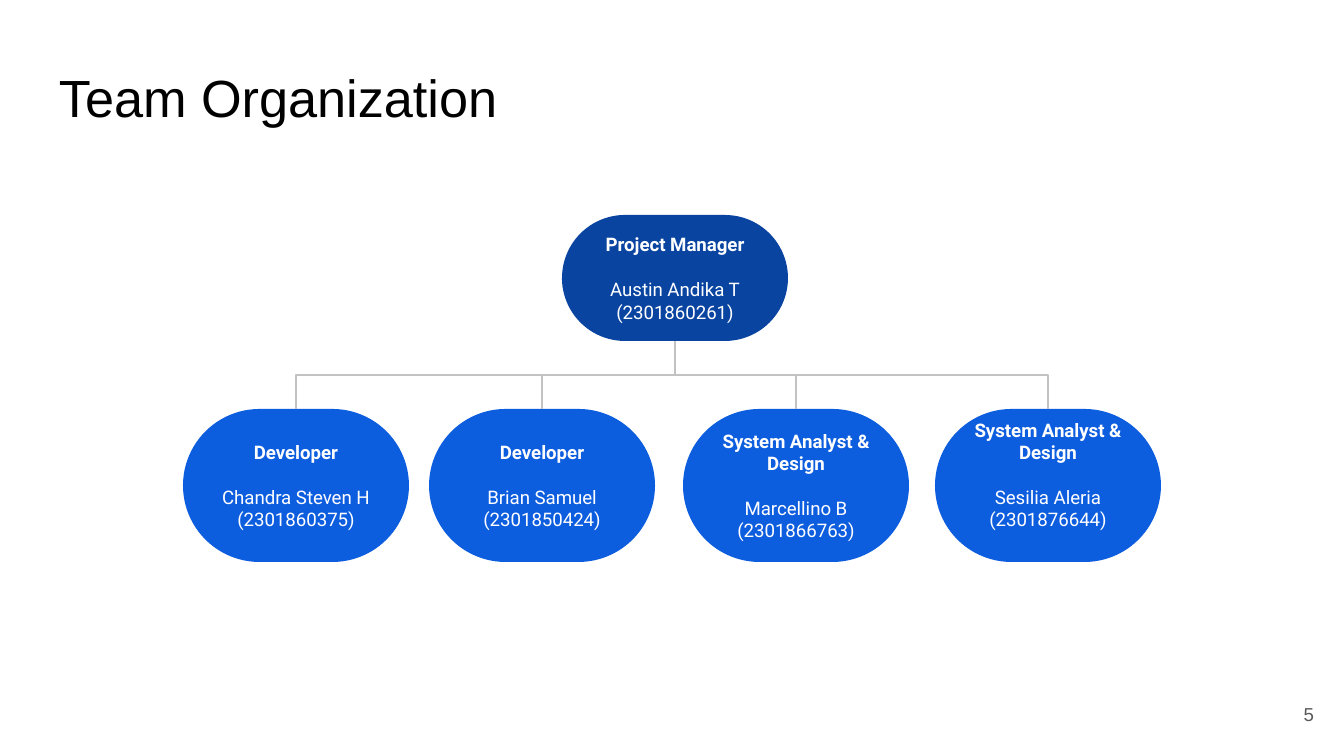
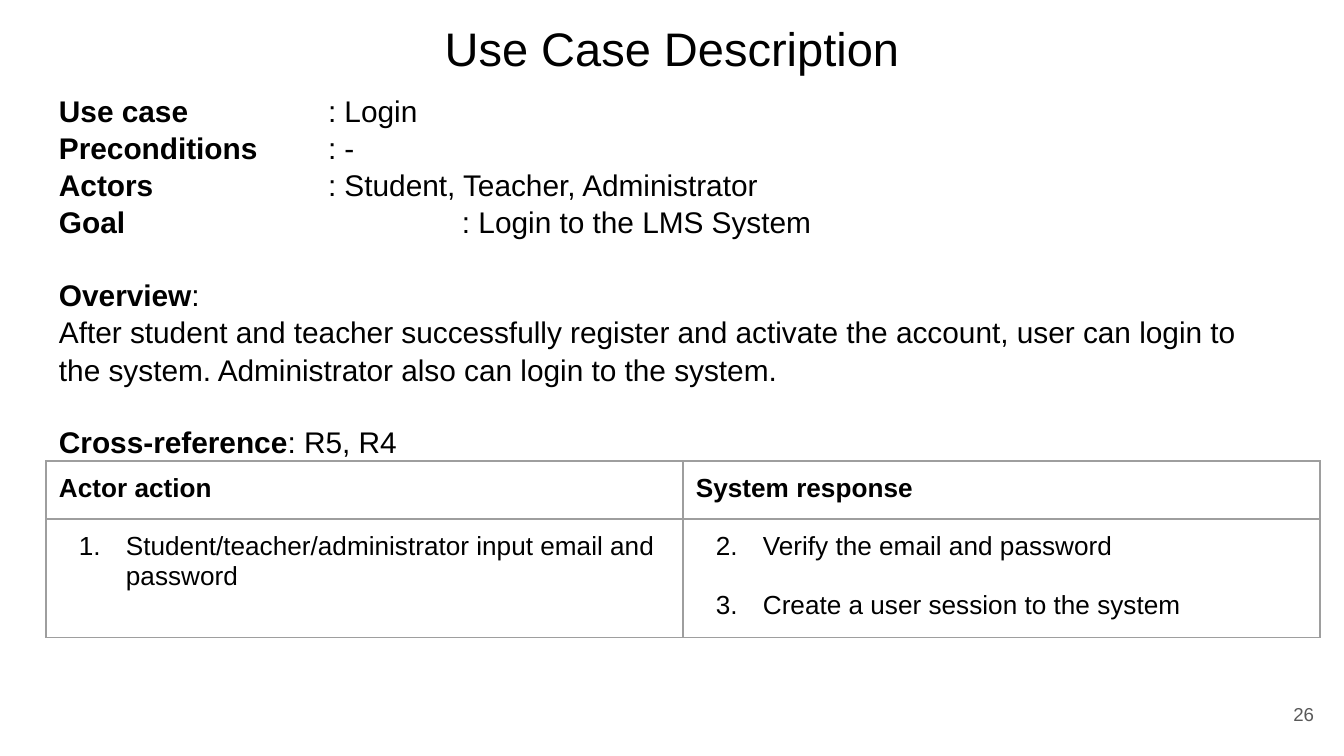
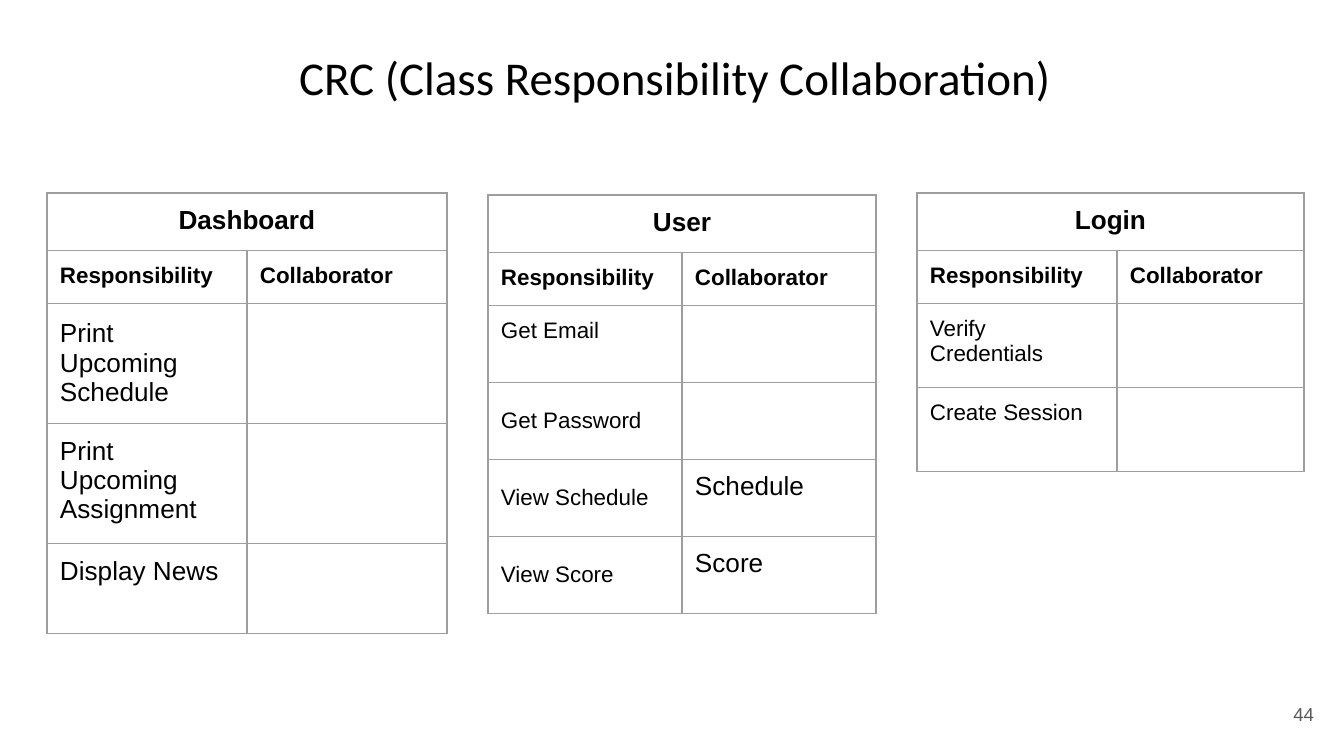
from dataclasses import dataclass

from lxml import etree
from pptx import Presentation
from pptx.dml.color import RGBColor as RGB
from pptx.enum.shapes import MSO_CONNECTOR as CONN, MSO_SHAPE as SHAPE
from pptx.enum.text import MSO_ANCHOR as ANCHOR, PP_ALIGN as ALIGN
from pptx.oxml.ns import qn
from pptx.util import Pt

SLIDE_W, SLIDE_H = 1344, 756
EMU_PER_PX = 9144000 / SLIDE_W
INSET = 13
TOP, MID = ANCHOR.TOP, ANCHOR.MIDDLE


@dataclass(frozen=True)
class Theme:
    ink: str = "000000"
    muted: str = "595959"
    white: str = "FFFFFF"
    manager: str = "0944A1"
    member: str = "0D5DDF"
    link: str = "C2C2C2"
    grid: str = "9E9E9E"
    font: str = "Arial"
    chart_font: str = "Roboto"
    crc_font: str = "Calibri"
    title: float = 28
    small_title: float = 25.2
    body: float = 16
    cell: float = 14
    small_cell: float = 12
    label: float = 10
    rule: float = 0.75


T = Theme()


def px(n):
    return round(n * EMU_PER_PX)


# --- Text ---

def add_run(p, text, size, bold=False, font=T.font, color=T.ink):
    r = p.add_run()
    r.text = text
    r.font.size, r.font.bold, r.font.name = Pt(size), bold, font
    r.font.color.rgb = RGB.from_string(color)


def next_par(tf, align=ALIGN.LEFT, before=0):
    """Return the first paragraph while it is empty, else a new one."""
    p = tf.paragraphs[0]
    if p.runs:
        p = tf.add_paragraph()
    p.alignment = align
    if before:
        p.space_before = Pt(before)
    return p


def set_frame(tf, anchor=TOP, top=INSET, bottom=INSET):
    tf.word_wrap = True
    tf.vertical_anchor = anchor
    tf.margin_left = tf.margin_right = px(INSET)
    tf.margin_top, tf.margin_bottom = px(top), px(bottom)


def add_box(s, x, y, w, h, **frame):
    tf = s.shapes.add_textbox(px(x), px(y), px(w), px(h)).text_frame
    set_frame(tf, **frame)
    return tf


def add_title(s, text, box, size=T.small_title, font=T.font,
              align=ALIGN.CENTER, top=19):
    tf = add_box(s, *box, top=top)
    add_run(next_par(tf, align), text, size, font=font)


def add_slide(prs, number):
    s = prs.slides.add_slide(prs.slide_layouts[6])
    tf = add_box(s, 1246, 685, 81, 58, anchor=MID)
    add_run(next_par(tf, ALIGN.RIGHT), str(number), T.label, color=T.muted)
    return s


def add_tab(p, pos):
    tabs = etree.SubElement(p._p.get_or_add_pPr(), qn("a:tabLst"))
    etree.SubElement(tabs, qn("a:tab"), pos=str(px(pos)), algn="l")


def add_number(p, start):
    pPr = p._p.get_or_add_pPr()
    pPr.set("marL", str(px(67)))
    pPr.set("indent", str(px(-47)))
    etree.SubElement(pPr, qn("a:buAutoNum"), type="arabicPeriod",
                     startAt=str(start))


# --- Organization chart ---

def add_person(s, x, y, w, h, fill, role, lines, bottom=INSET):
    sp = s.shapes.add_shape(SHAPE.ROUNDED_RECTANGLE, px(x), px(y), px(w), px(h))
    sp.adjustments[0] = 0.5
    sp.shadow.inherit = False
    sp.fill.solid()
    sp.fill.fore_color.rgb = RGB.from_string(fill)
    sp.line.fill.background()
    tf = sp.text_frame
    set_frame(tf, MID, bottom=bottom)
    style = dict(font=T.chart_font, color=T.white)
    add_run(next_par(tf, ALIGN.CENTER), role, T.label, True, **style)
    for i, line in enumerate(lines):
        p = next_par(tf, ALIGN.CENTER, 0 if i else 12)
        add_run(p, line, T.label, **style)
    return sp


def link_down(s, boss, member):
    """Elbow from the bottom of boss to the top of member, vertical first."""
    x1, y1 = boss.left + boss.width // 2, boss.top + boss.height
    x2, y2 = member.left + member.width // 2, member.top
    cn = s.shapes.add_connector(CONN.ELBOW, x1, y1, x2, y2)
    cn.begin_connect(boss, 2)
    cn.end_connect(member, 0)
    cn.line.color.rgb = RGB.from_string(T.link)
    cn.line.width = Pt(T.rule)
    etree.SubElement(cn._element.spPr, qn("a:effectLst"))
    # The frame is turned a quarter, so its width and height swap
    cn.width, cn.height = y2 - y1, abs(x2 - x1)
    cn.left = (x1 + x2 - cn.width) // 2
    cn.top = (y1 + y2 - cn.height) // 2
    xfrm = cn._element.spPr.find(qn("a:xfrm"))
    rightward = x2 > x1
    xfrm.set("rot", "16200000" if rightward else "5400000")
    xfrm.set("flipH", "1" if rightward else "0")


# --- Tables ---

def style_cell(cell):
    tcPr = cell._tc.get_or_add_tcPr()
    for side in ("lnL", "lnR", "lnT", "lnB"):
        ln = etree.SubElement(tcPr, qn("a:" + side), w=str(Pt(T.rule)))
        fill = etree.SubElement(ln, qn("a:solidFill"))
        etree.SubElement(fill, qn("a:srgbClr"), val=T.grid)
    cell.fill.background()
    cell.margin_left = cell.margin_right = px(INSET)
    cell.margin_top = cell.margin_bottom = px(INSET)


def add_grid(s, x, y, cols, rows):
    frame = s.shapes.add_table(len(rows), len(cols), px(x), px(y),
                               px(sum(cols)), px(sum(rows)))
    table = frame.table
    table.first_row = table.horz_banding = False
    for col, w in zip(table.columns, cols):
        col.width = px(w)
    for row, h in zip(table.rows, rows):
        row.height = px(h)
        for cell in row.cells:
            style_cell(cell)
    return table


def fill_cell(cell, text, size=T.cell, anchor=TOP, bold=False, align=ALIGN.LEFT):
    cell.vertical_anchor = anchor
    add_run(next_par(cell.text_frame, align), text, size, bold)


def add_crc_card(s, x, y, cols, heights, name, entries):
    """entries: (responsibility, size, anchor, collaborator)"""
    table = add_grid(s, x, y, cols, [56, 52] + heights)
    table.cell(0, 0).merge(table.cell(0, 1))
    fill_cell(table.cell(0, 0), name, bold=True, align=ALIGN.CENTER)
    for c, head in enumerate(("Responsibility", "Collaborator")):
        fill_cell(table.cell(1, c), head, T.small_cell, bold=True)
    for r, (duty, size, anchor, partner) in enumerate(entries, 2):
        fill_cell(table.cell(r, 0), duty, size, anchor)
        if partner:
            fill_cell(table.cell(r, 1), partner)


# --- Slides ---

def team_slide(prs):
    s = add_slide(prs, 5)
    add_title(s, "Team Organization", (46, 46, 1252, 126), T.title,
              align=ALIGN.LEFT)
    boss = add_person(s, 562, 215, 226, 126, T.manager, "Project Manager",
                      ["Austin Andika T", "(2301860261)"])
    analyst = "System Analyst & Design"
    members = [
        (183, "Developer", ["Chandra Steven H", "(2301860375)"], INSET),
        (429, "Developer", ["Brian Samuel", "(2301850424)"], INSET),
        (683, analyst, ["Marcellino B", "(2301866763)"], INSET),
        (935, analyst, ["Sesilia Aleria (2301876644)"], INSET + 22),
    ]
    for x, role, lines, bottom in members:
        member = add_person(s, x, 409, 226, 153, T.member, role, lines, bottom)
        link_down(s, boss, member)


def use_case_slide(prs):
    s = add_slide(prs, 26)
    add_title(s, "Use Case Description", (310, 0, 724, 83))
    tf = add_box(s, 46, 75, 1252, 625, top=16)
    # label, text, tab stop, space before
    lines = [
        ("Use case", "\t: Login", 269, 0),
        ("Preconditions", "\t: -", 269, 0),
        ("Actors", "\t: Student, Teacher, Administrator", 269, 0),
        ("Goal", "\t: Login to the LMS System", 403, 0),
        ("Overview", ":", None, 19),
        (None, "After student and teacher successfully register and activate "
               "the account, user can login to the system. Administrator also "
               "can login to the system.", None, 0),
        ("Cross-reference", ": R5, R4", None, 19),
    ]
    for label, text, tab, before in lines:
        p = next_par(tf, before=before)
        p.line_spacing = 1.04
        if tab:
            add_tab(p, tab)
        if label:
            add_run(p, label, T.body, True)
        add_run(p, text, T.body)

    # Dialogue between actor and system
    table = add_grid(s, 46, 461, [637, 637], [58, 115])
    columns = [
        ("Actor action", 1,
         ["Student/teacher/administrator input email and password"]),
        ("System response", 2,
         ["Verify the email and password",
          "Create a user session to the system"]),
    ]
    for c, (head, start, steps) in enumerate(columns):
        fill_cell(table.cell(0, c), head, bold=True)
        for i, step in enumerate(steps):
            p = next_par(table.cell(1, c).text_frame, before=16 if i else 0)
            add_number(p, start)
            add_run(p, step, T.cell)


def crc_slide(prs):
    s = add_slide(prs, 44)
    add_title(s, "CRC (Class Responsibility Collaboration)",
              (286, 34, 860, 85), font=T.crc_font, align=ALIGN.LEFT, top=15)
    big, small = T.cell, T.small_cell
    add_crc_card(s, 47, 193, [200, 200], [115, 114, 90], "Dashboard", [
        ("Print Upcoming Schedule", big, MID, None),
        ("Print Upcoming Assignment", big, TOP, None),
        ("Display News", big, TOP, None),
    ])
    add_crc_card(s, 488, 195, [194, 194], [77] * 4, "User", [
        ("Get Email", small, TOP, None),
        ("Get Password", small, MID, None),
        ("View Schedule", small, MID, "Schedule"),
        ("View Score", small, MID, "Score"),
    ])
    add_crc_card(s, 917, 193, [200, 187], [84, 84], "Login", [
        ("Verify Credentials", small, TOP, None),
        ("Create Session", small, TOP, None),
    ])


def main():
    prs = Presentation()
    prs.slide_width, prs.slide_height = px(SLIDE_W), px(SLIDE_H)
    team_slide(prs)
    use_case_slide(prs)
    crc_slide(prs)
    prs.save("out.pptx")


if __name__ == "__main__":
    main()
